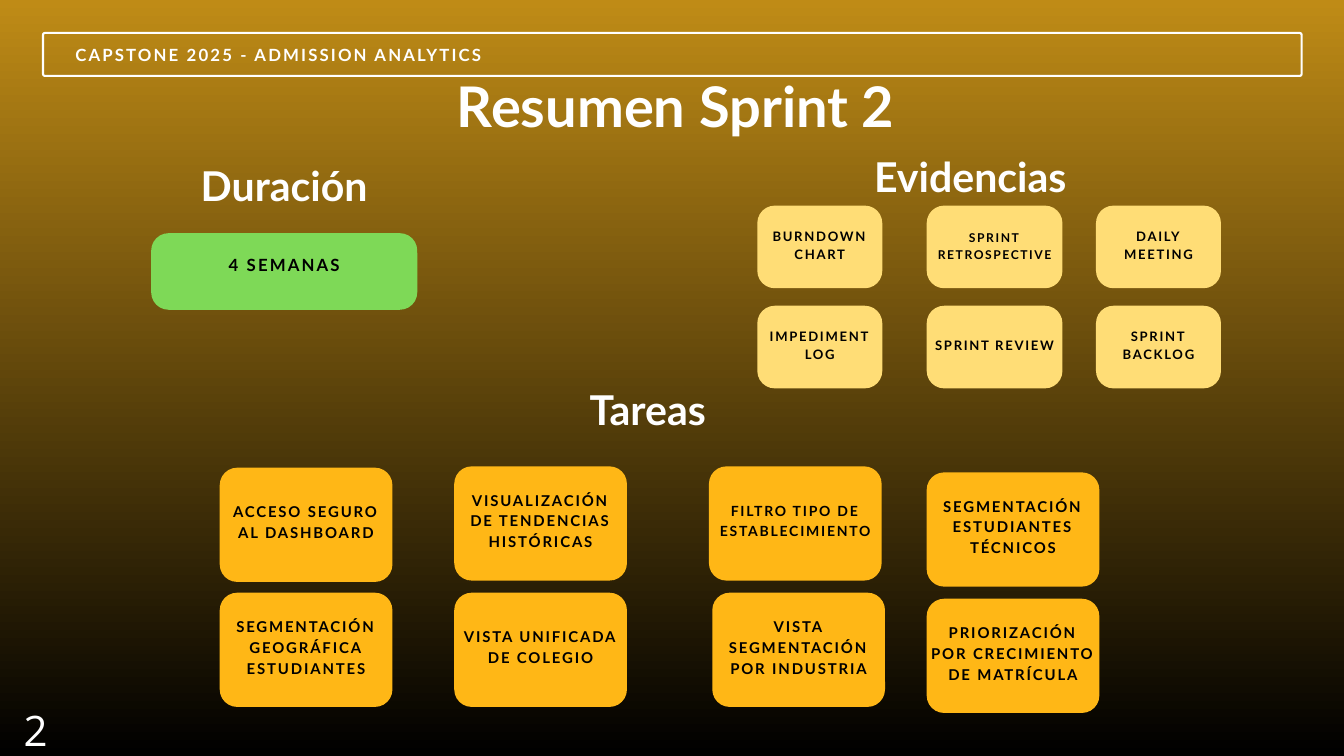
from pptx import Presentation
from pptx.dml.color import RGBColor
from pptx.enum.shapes import MSO_SHAPE
from pptx.enum.text import MSO_ANCHOR, MSO_AUTO_SIZE, PP_ALIGN
from pptx.util import Inches, Pt

BLACK = RGBColor(0x00, 0x00, 0x00)
WHITE = RGBColor(0xFF, 0xFF, 0xFF)
GOLD = RGBColor(0xBF, 0x8B, 0x16)
AMBER = RGBColor(0xFF, 0xB7, 0x16)
YELLOW = RGBColor(0xFF, 0xDD, 0x76)
GREEN = RGBColor(0x7E, 0xD9, 0x57)

CARD_RADIUS = 0.26
CARD_INSET = 0.06

EVIDENCE_COLUMNS = [(0, 1.86), (2.52, 2.02), (5.04, 1.86)]
EVIDENCE = [
    [("BURNDOWN CHART", 14, 0.09), ("SPRINT RETROSPECTIVE", 13, 0.06), ("DAILY MEETING", 14, 0.09)],
    [("IMPEDIMENT LOG", 14, 0.09), ("SPRINT REVIEW", 14, 0.09), ("SPRINT BACKLOG", 14, 0.09)],
]
TASKS = [
    (0, 0.02, "ACCESO SEGURO AL DASHBOARD", 16),
    (3.49, 0, "VISUALIZACIÓN DE TENDENCIAS HISTÓRICAS", 16),
    (7.28, 0, "FILTRO TIPO DE ESTABLECIMIENTO", 15),
    (10.52, 0.09, "SEGMENTACIÓN ESTUDIANTES TÉCNICOS", 16),
    (0, 1.88, "SEGMENTACIÓN GEOGRÁFICA ESTUDIANTES", 16),
    (3.49, 1.88, "VISTA UNIFICADA DE COLEGIO", 16),
    (7.33, 1.88, "VISTA SEGMENTACIÓN POR INDUSTRIA", 16),
    (10.52, 1.97, "PRIORIZACIÓN POR CRECIMIENTO DE MATRÍCULA", 16),
]


def write_text(shape, text, size, color=WHITE, font="Lato", bold=True, align=PP_ALIGN.CENTER,
               anchor=MSO_ANCHOR.TOP, line=1.01, spacing=0, inset=0, wrap=True):
    frame = shape.text_frame
    frame.auto_size = MSO_AUTO_SIZE.NONE
    frame.word_wrap = wrap
    frame.vertical_anchor = anchor
    frame.margin_left = frame.margin_right = Inches(inset)
    frame.margin_top = frame.margin_bottom = Inches(inset)
    paragraph = frame.paragraphs[0]
    paragraph.alignment = align
    paragraph.line_spacing = Pt(round(size * line, 1))
    run = paragraph.add_run()
    run.text = text
    run.font.name = font
    run.font.size = Pt(size)
    run.font.bold = bold
    run.font.color.rgb = color
    if spacing:
        run._r.get_or_add_rPr().set("spc", str(round(spacing * 100)))


def add_text(slide, box, text, size, **formats):
    shape = slide.shapes.add_textbox(*map(Inches, box))
    write_text(shape, text, size, **formats)


def tracking(size):
    return round(size * 0.127, 1)


def add_rounded(slide, box, radius):
    shape = slide.shapes.add_shape(MSO_SHAPE.ROUNDED_RECTANGLE, *map(Inches, box))
    shape.adjustments[0] = radius / min(box[2:])
    shape.shadow.inherit = False
    return shape


def add_card(slide, box, text, size, color, rise):
    card = add_rounded(slide, box, CARD_RADIUS)
    card.fill.solid()
    card.fill.fore_color.rgb = color
    card.line.fill.background()
    left, top, width, height = box
    add_text(slide, (left, top - rise, width, height + rise), text, size, color=BLACK,
             anchor=MSO_ANCHOR.MIDDLE, line=1.4, spacing=tracking(size), inset=CARD_INSET)


def add_background(slide):
    fill = slide.background.fill
    fill.gradient()
    fill.gradient_angle = 90
    for stop, color in zip(fill.gradient_stops, (BLACK, GOLD)):
        stop.color.rgb = color


def add_header(slide, box):
    frame = add_rounded(slide, box, 0.03)
    frame.fill.background()
    frame.line.color.rgb = WHITE
    frame.line.width = Pt(2.25)
    left, top = box[:2]
    add_text(slide, (left + 0.48, top + 0.13, 7.85, 0.34), "CAPSTONE 2025 - ADMISSION ANALYTICS", 18,
             align=PP_ALIGN.LEFT, line=1.4, spacing=tracking(18))


def add_title(slide, box):
    title = slide.shapes.title
    title.left, title.top, title.width, title.height = map(Inches, box)
    write_text(title, "Resumen Sprint 2", 60)


def add_duration(slide, box):
    left, top, width, height = box
    add_text(slide, (left, top, width, 0.64), "Duración", 44)
    add_card(slide, (left + 1.69, top + 0.96, 3.96, 1.14), "4 SEMANAS", 18, GREEN, 0.24)


def add_evidence(slide, box):
    left, top, width, height = box
    add_text(slide, (left, top, width, 0.64), "Evidencias", 44)
    for row, cards in enumerate(EVIDENCE):
        for (offset, card_width), (text, size, rise) in zip(EVIDENCE_COLUMNS, cards):
            card_box = (left + 0.5 + offset, top + 0.69 + 1.49 * row, card_width, 1.23)
            add_card(slide, card_box, text, size, YELLOW, rise)


def add_tasks(slide, box):
    left, top, width, height = box
    add_text(slide, (left + 2.7, top, 7.34, 0.64), "Tareas", 44)
    for x, y, text, size in TASKS:
        add_card(slide, (left + x, top + 1.1 + y, 2.57, 1.7), text, size, AMBER, 0.12)


def main():
    presentation = Presentation()
    presentation.slide_width = Inches(20)
    presentation.slide_height = Inches(11.25)
    slide = presentation.slides.add_slide(presentation.slide_layouts[5])
    add_background(slide)
    add_header(slide, (0.64, 0.49, 18.73, 0.64))
    add_title(slide, (5.05, 1.22, 10.01, 0.88))
    add_duration(slide, (0.56, 2.51, 7.34, 2.1))
    add_evidence(slide, (10.77, 2.37, 7.34, 3.41))
    add_tasks(slide, (3.27, 5.84, 13.09, 4.77))
    add_text(slide, (0.35, 10.36, 0.36, 0.87), "2", 45, font="Open Sans", bold=False, line=1.4, wrap=False)
    presentation.save("out.pptx")


if __name__ == "__main__":
    main()
